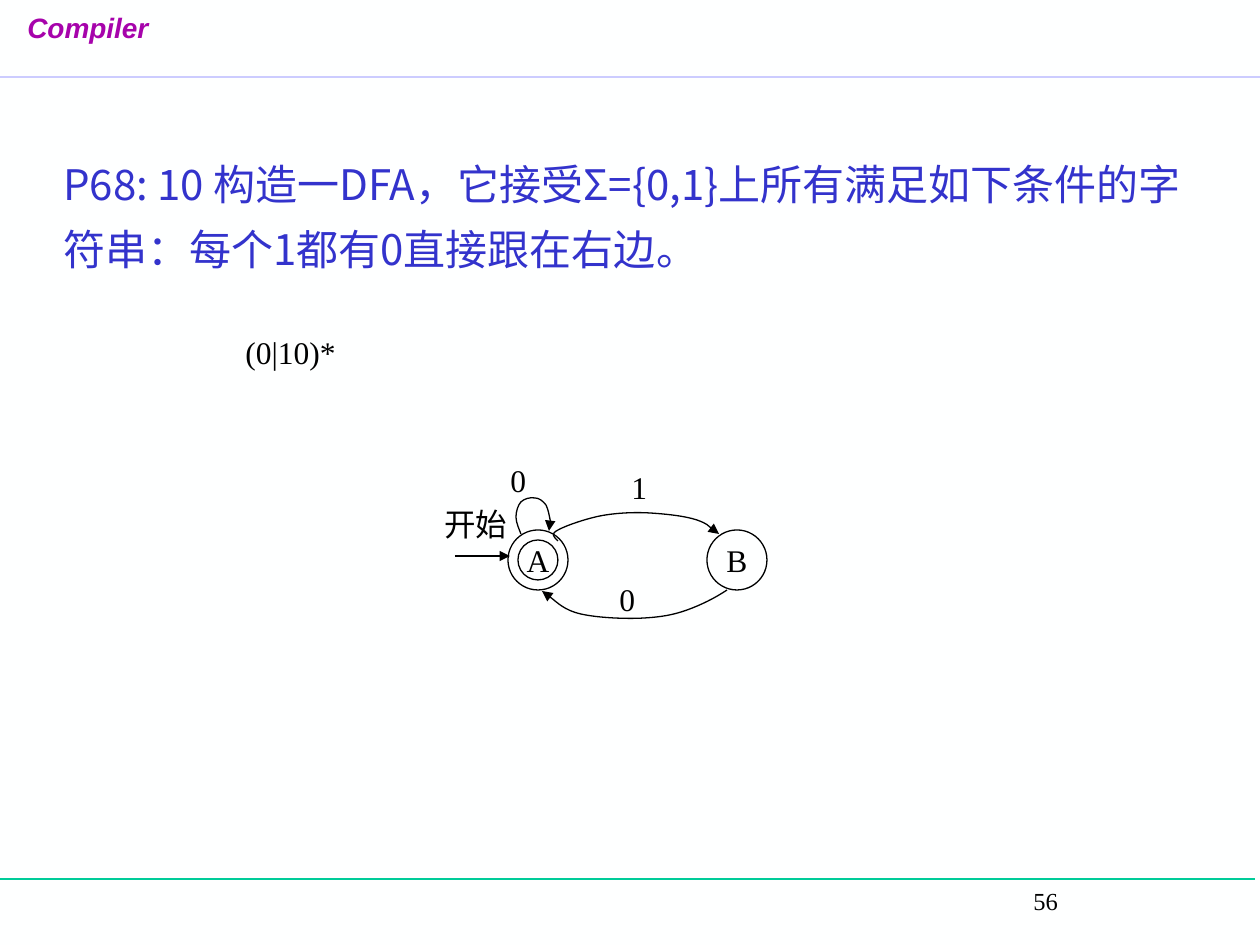
from lxml.etree import SubElement
from pptx import Presentation
from pptx.dml.color import RGBColor
from pptx.enum.shapes import MSO_CONNECTOR, MSO_SHAPE
from pptx.enum.text import MSO_ANCHOR, PP_ALIGN
from pptx.oxml.ns import qn
from pptx.util import Pt

EMU_PER_PX = 914400 / 126
SERIF, SANS, CJK = "Times New Roman", "Arial", "Noto Sans CJK SC"
COLORS = {
    "background": "FEFFFF",
    "header": "A603AB",
    "header_rule": "CCCCFF",
    "footer_rule": "00CC99",
    "question": "3333CC",
    "ink": "000000",
}

HEADER = ("Compiler", (15, 4, 160, 71))
QUESTION = (
    "P68: 10 构造一DFA，它接受Σ={0,1}上所有满足如下条件的字符串：每个1都有0直接跟在右边。",
    (51, 159, 1177, 100),
)
EXPRESSION = ("(0|10)*", (233, 327, 140, 50))
PAGE_NUMBER = ("56", (1021, 880, 120, 50))
RULES = [
    ("header_rule", (0, 77), (1260, 77), 1),
    ("footer_rule", (-5, 879), (1255, 879), 0.75),
]
STATE_RADIUS, ACCEPT_RADIUS = 30, 20
STATES = [("A", (538, 560), True), ("B", (737, 560), False)]
START_ARROW = ((455, 556), (510, 556))
DIAGRAM_LABELS = [
    ("开始", (432, 499, 88, 50)),
    ("0", (498, 455, 40, 50)),
    ("1", (619, 462, 40, 50)),
    ("0", (607, 574, 40, 50)),
]
TRANSITIONS = [
    [(521, 534), (520, 531), (516, 523), (516, 517), (516, 512), (518, 505),
     (521, 502), (524, 499), (530, 497), (535, 498), (539, 498), (543, 501),
     (546, 505), (548, 509), (549, 514), (550, 519), (551, 523), (549, 529),
     (549, 531)],
    [(558, 541), (554, 537), (550, 534), (558, 530), (565, 526), (585, 519),
     (600, 516), (615, 513), (634, 512), (650, 513), (666, 514), (685, 516),
     (697, 520), (708, 524), (714, 531), (719, 534)],
    [(727, 590), (715, 598), (701, 605), (687, 610), (673, 615), (661, 617),
     (644, 618), (627, 619), (599, 618), (581, 614), (564, 610), (550, 596),
     (542, 591)],
]


def px(value):
    return round(value * EMU_PER_PX)


def color(name):
    return RGBColor.from_string(COLORS[name])


def write(frame, text, size=18, font=SERIF, ink="ink", align=PP_ALIGN.LEFT, wrap=False):
    frame.word_wrap = wrap
    frame.text = text
    paragraph = frame.paragraphs[0]
    paragraph.alignment = align
    run = paragraph.runs[0]
    run.font.size = Pt(size)
    run.font.color.rgb = color(ink)
    run.font.name = font
    SubElement(run.font._element, qn("a:ea"), typeface=CJK)
    return paragraph


def add_text(slide, content, **style):
    text, box = content
    frame = slide.shapes.add_textbox(*map(px, box)).text_frame
    return write(frame, text, **style)


def outline(shape, ink="ink", width=0.75, arrow=False):
    shape.line.color.rgb = color(ink)
    shape.line.width = Pt(width)
    if arrow:
        SubElement(shape.line._get_or_add_ln(), qn("a:tailEnd"), type="triangle")


def add_line(slide, start, end, **style):
    line = slide.shapes.add_connector(MSO_CONNECTOR.STRAIGHT, *map(px, start + end))
    outline(line, **style)
    SubElement(line._element.spPr, qn("a:effectLst"))


def add_circle(slide, center, radius):
    x, y = center
    box = (x - radius, y - radius, 2 * radius, 2 * radius)
    circle = slide.shapes.add_shape(MSO_SHAPE.OVAL, *map(px, box))
    circle.shadow.inherit = False
    circle.fill.background()
    outline(circle)
    return circle


def add_curve(slide, points):
    start, *rest = points
    builder = slide.shapes.build_freeform(*start, scale=EMU_PER_PX)
    builder.add_line_segments(rest, close=False)
    curve = builder.convert_to_shape()
    curve.shadow.inherit = False
    curve.fill.background()
    outline(curve, arrow=True)
    track = next(curve._element.iter(qn("a:path")))
    segments = track.findall(qn("a:lnTo"))
    for first in range(0, len(segments), 3):
        bezier = SubElement(track, qn("a:cubicBezTo"))
        for segment in segments[first:first + 3]:
            bezier.append(segment[0])
            track.remove(segment)


def main():
    deck = Presentation()
    deck.slide_width, deck.slide_height = px(1260), px(945)
    slide = deck.slides.add_slide(deck.slide_layouts[6])
    slide.background.fill.solid()
    slide.background.fill.fore_color.rgb = color("background")

    for ink, start, end, width in RULES:
        add_line(slide, start, end, ink=ink, width=width)

    header = add_text(slide, HEADER, size=16, font=SANS, ink="header", wrap=True).runs[0]
    header.font.bold = header.font.italic = True
    question = add_text(slide, QUESTION, size=24, font=CJK, ink="question", wrap=True)
    question.line_spacing = 1.29
    question._parent.vertical_anchor = MSO_ANCHOR.MIDDLE
    add_text(slide, EXPRESSION, wrap=True)
    add_text(slide, PAGE_NUMBER, size=14, wrap=True)

    for name, center, accepting in STATES:
        state = add_circle(slide, center, STATE_RADIUS)
        write(state.text_frame, name, align=PP_ALIGN.CENTER)
        state.text_frame.vertical_anchor = MSO_ANCHOR.MIDDLE
        if accepting:
            add_circle(slide, center, ACCEPT_RADIUS)
    add_line(slide, *START_ARROW, arrow=True)
    for points in TRANSITIONS:
        add_curve(slide, points)
    for label in DIAGRAM_LABELS:
        add_text(slide, label, align=PP_ALIGN.CENTER)

    deck.save("out.pptx")


if __name__ == "__main__":
    main()
